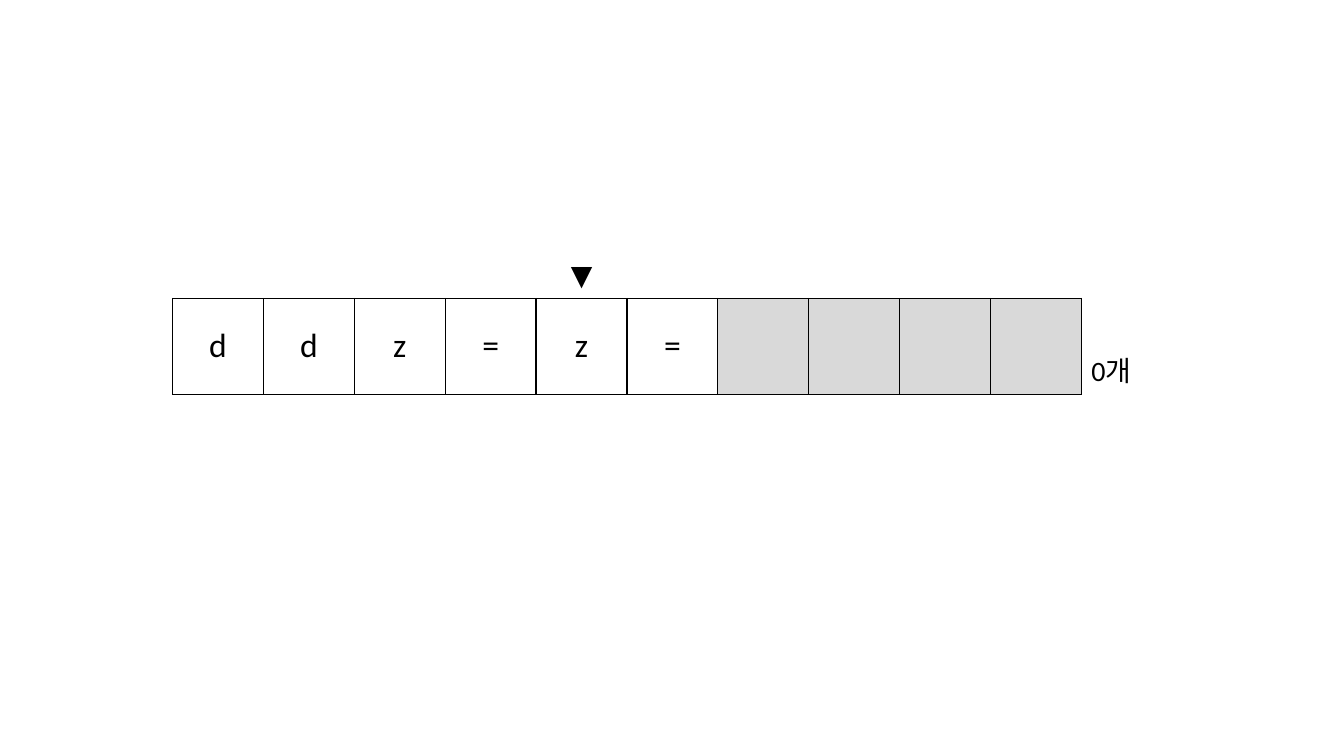
from lxml.etree import SubElement
from pptx import Presentation
from pptx.dml.color import RGBColor as RGB
from pptx.enum.text import MSO_ANCHOR as ANCHOR, PP_ALIGN as ALIGN
from pptx.oxml.ns import qn
from pptx.util import Cm, Pt

COLORS = {"line": "000000", "text": "000000", "used": "FFFFFF", "free": "D9D9D9"}
NO_STYLE = "{2D5ABB26-0587-4C30-8999-92F81FD0307C}"
SYMBOLS = "ddz=z="
SLOTS = 10
POINTER = 4
COUNT = "0개"


def set_borders(cell, sides):
    """Draw 1 pt borders; sides are given in schema order L, R, T, B."""
    tc_pr = cell._tc.get_or_add_tcPr()
    for i, side in enumerate(sides):
        ln = tc_pr.makeelement(qn(f"a:ln{side}"), {"w": str(Pt(1))})
        fill = SubElement(ln, qn("a:solidFill"))
        SubElement(fill, qn("a:srgbClr"), val=COLORS["line"])
        tc_pr.insert(i, ln)


def set_text(cell, text, size, align, anchor):
    cell.vertical_anchor = anchor
    p = cell.text_frame.paragraphs[0]
    p.alignment = align
    r = p.add_run()
    r.text = text
    for name, value in {"size": Pt(size), "name": "Calibri"}.items():
        setattr(r.font, name, value)
    r.font.color.rgb = RGB.from_string(COLORS["text"])


def add_buffer(slide, left, top, width, pointer_h, slot_h):
    """Row of slots with a pointer above and a count at the right end."""
    table = slide.shapes.add_table(2, SLOTS + 1, left, top, width,
                                   pointer_h + slot_h).table
    table.first_row = table.horz_banding = False
    table._tbl.tblPr.find(qn("a:tableStyleId")).text = NO_STYLE
    for col in table.columns:
        col.width = width // (SLOTS + 1)
    for row, height in zip(table.rows, (pointer_h, slot_h)):
        row.height = height

    # Slots
    for i in range(SLOTS):
        above, slot = table.cell(0, i), table.cell(1, i)
        used = i < len(SYMBOLS)
        above.fill.background()
        slot.fill.solid()
        slot.fill.fore_color.rgb = RGB.from_string(COLORS["used" if used else "free"])
        set_borders(above, "B")
        set_borders(slot, "LRTB")
        if used:
            set_text(slot, SYMBOLS[i], 24, ALIGN.CENTER, ANCHOR.MIDDLE)

    # Pointer and count
    set_text(table.cell(0, POINTER), "▼", 20, ALIGN.CENTER, ANCHOR.BOTTOM)
    count = table.cell(1, SLOTS)
    set_borders(count, "L")
    set_text(count, COUNT, 20, ALIGN.LEFT, ANCHOR.BOTTOM)


prs = Presentation()
prs.slide_width, prs.slide_height = Cm(33.87), Cm(19.05)
slide = prs.slides.add_slide(prs.slide_layouts[6])
add_buffer(slide, Cm(4.35), Cm(6.4), Cm(25.2), Cm(1.1), Cm(2.42))
prs.save("out.pptx")
